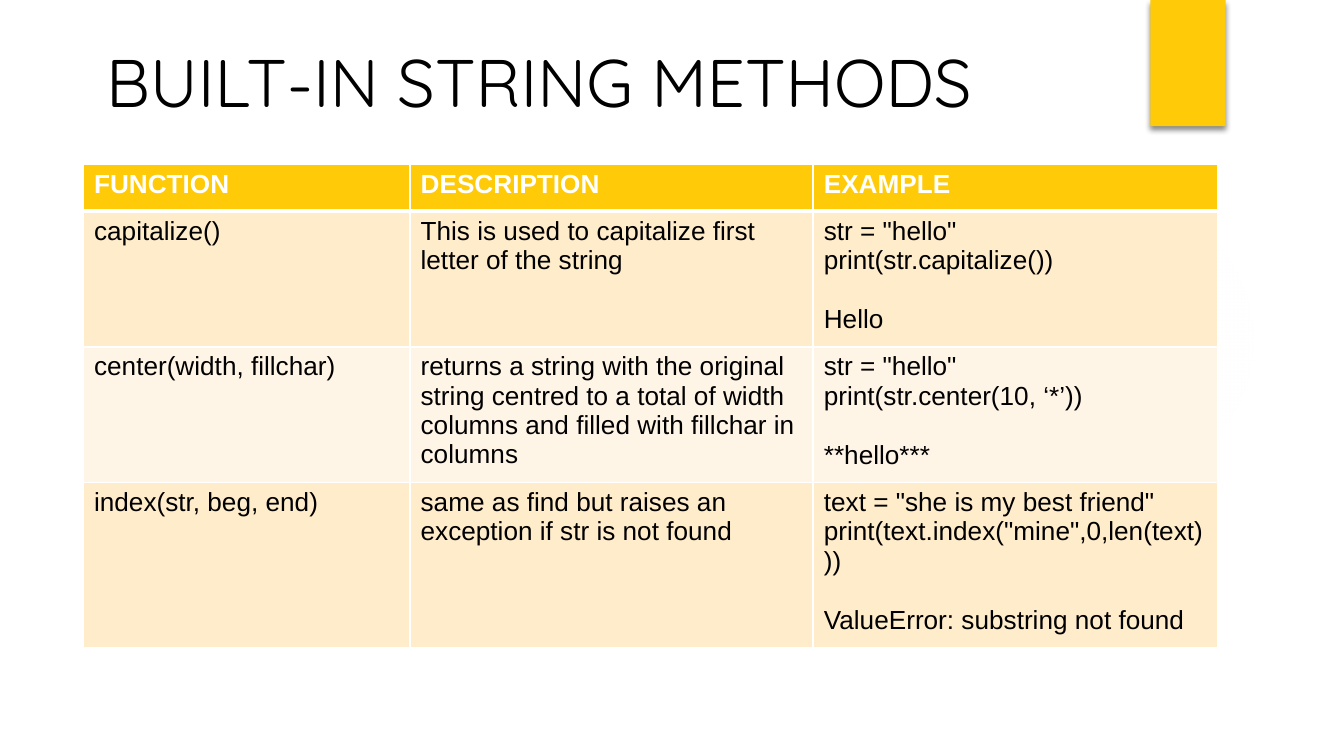
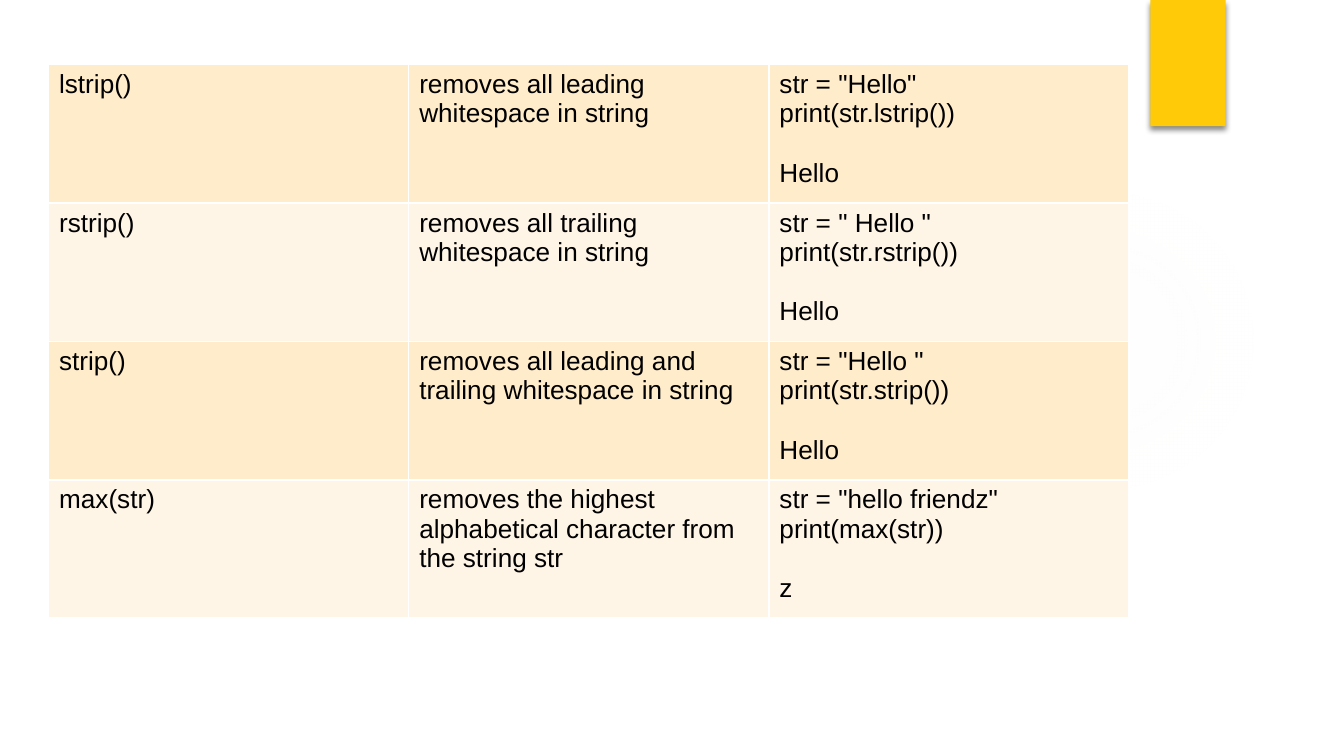
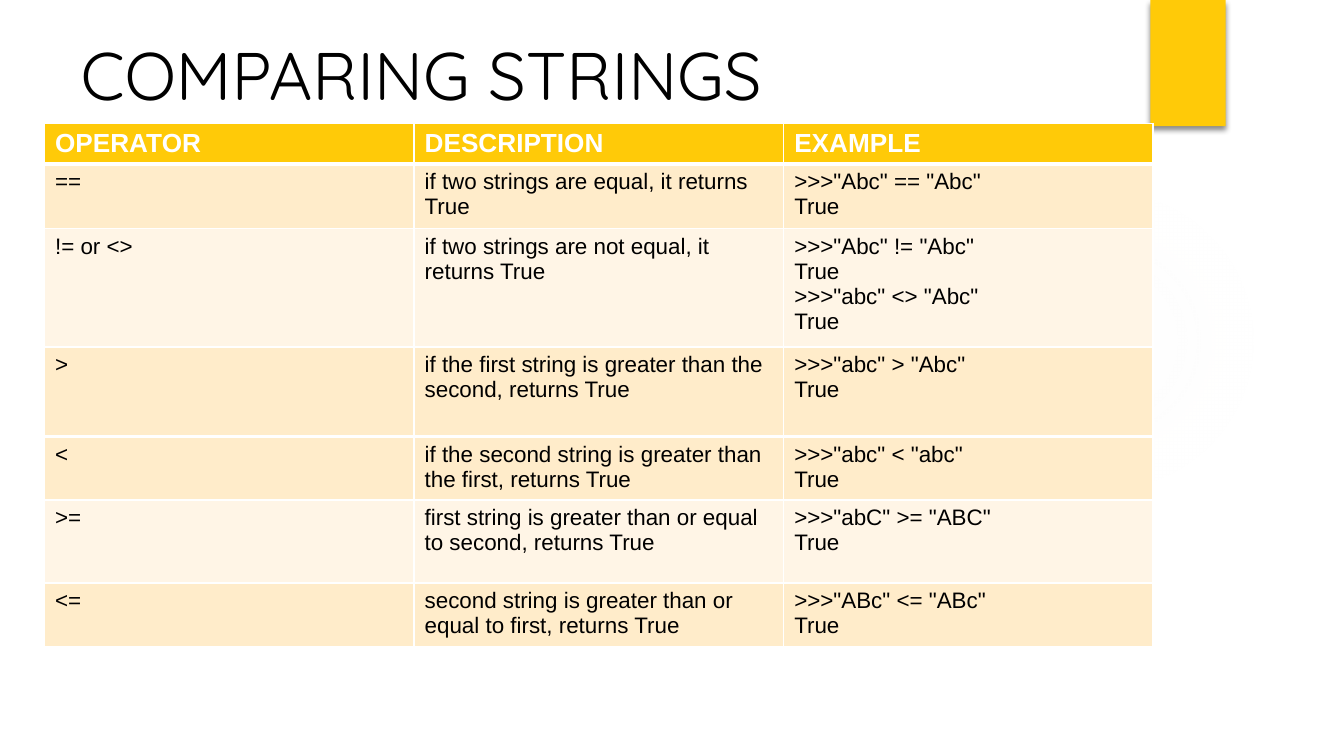
"""Builds three slides on Python string methods and string comparison."""
from pptx import Presentation
from pptx.dml.color import RGBColor
from pptx.enum.shapes import MSO_SHAPE as SHAPE
from pptx.enum.text import MSO_ANCHOR as ANCHOR, MSO_AUTO_SIZE as AUTOSIZE, PP_ALIGN as ALIGN
from pptx.oxml import parse_xml
from pptx.oxml.ns import nsdecls
from pptx.util import Inches, Pt

GOLD = RGBColor(0xFF, 0xCA, 0x08)
BAND_DARK = RGBColor(0xFF, 0xEC, 0xCA)
BAND_LIGHT = RGBColor(0xFF, 0xF5, 0xE6)
GLOW = RGBColor(0xF4, 0xF1, 0xF0)
WHITE = RGBColor(0xFF, 0xFF, 0xFF)
BLACK = RGBColor(0, 0, 0)
TITLE_FONT, BODY_FONT = "Quicksand", "Arial"
TITLE_ONLY, BLANK = 5, 6

METHODS = [
    ("FUNCTION", "DESCRIPTION", "EXAMPLE"),
    ("capitalize()", "This is used to capitalize first letter of the string",
     'str = "hello"\nprint(str.capitalize())\n\nHello'),
    ("center(width, fillchar)",
     "returns a string with the original string centred to a total of width "
     "columns and filled with fillchar in columns",
     'str = "hello"\nprint(str.center(10, ‘*’))\n\n**hello***'),
    ("index(str, beg, end)", "same as find but raises an exception if str is not found",
     'text = "she is my best friend"\nprint(text.index("mine",0,len(text)))'
     "\n\nValueError: substring not found"),
]
STRIP_METHODS = [
    ("lstrip()", "removes all leading whitespace in string",
     'str = "Hello"\nprint(str.lstrip())\n\nHello'),
    ("rstrip()", "removes all trailing whitespace in string",
     'str = " Hello "\nprint(str.rstrip())\n\nHello'),
    ("strip()", "removes all leading and trailing whitespace in string",
     'str = "Hello "\nprint(str.strip())\n\nHello'),
    ("max(str)", "removes the highest alphabetical character from the string str",
     'str = "hello friendz"\nprint(max(str))\n\nz'),
]
OPERATORS = [
    ("OPERATOR", "DESCRIPTION", "EXAMPLE"),
    ("==", "if two strings are equal, it returns True", '>>>"Abc" == "Abc"\nTrue'),
    ("!= or <>", "if two strings are not equal, it returns True",
     '>>>"Abc" != "Abc"\nTrue\n>>>"abc" <> "Abc"\nTrue'),
    (">", "if the first string is greater than the second, returns True",
     '>>>"abc" > "Abc"\nTrue'),
]
MORE_OPERATORS = [
    ("<", "if the second string is greater than the first, returns True",
     '>>>"abc" < "abc"\nTrue'),
    (">=", "first string is greater than or equal to second, returns True",
     '>>>"abC" >= "ABC"\nTrue'),
    ("<=", "second string is greater than or equal to first, returns True",
     '>>>"ABc" <= "ABc"\nTrue'),
]


class Deck:
    """Holds the style and the current slide."""

    def __init__(self):
        """Start an empty widescreen presentation."""
        self.prs = Presentation()
        self.prs.slide_width = Inches(10)
        self.prs.slide_height = Inches(10 * 9 / 16)
        self.slide = None

    def add_slide(self, layout):
        """Add a slide with the shared glow and gold tab."""
        self.slide = self.prs.slides.add_slide(self.prs.slide_layouts[layout])
        self.slide.background.fill.solid()
        self.slide.background.fill.fore_color.rgb = WHITE
        self.glow()
        self.tab()

    def shape(self, kind, x, y, w, h, color):
        """Add a plain filled shape without a line."""
        sp = self.slide.shapes.add_shape(kind, Inches(x), Inches(y), Inches(w), Inches(h))
        sp.shadow.inherit = False
        sp.fill.solid()
        sp.fill.fore_color.rgb = color
        sp.line.fill.background()
        return sp

    def glow(self):
        """Add the faint round glow."""
        sp = self.shape(SHAPE.OVAL, 7.06, 1.38, 2.31, 2.31, GLOW)
        stops = "".join(
            f'<a:gs pos="{pos}000"><a:srgbClr val="{GLOW}"><a:alpha val="{alpha}000"/>'
            "</a:srgbClr></a:gs>"
            for pos, alpha in ((0, 7), (36, 6), (69, 0), (100, 0)))
        gradient = parse_xml(
            f'<a:gradFill {nsdecls("a")}><a:gsLst>{stops}</a:gsLst><a:path path="circle">'
            '<a:fillToRect l="50000" t="50000" r="50000" b="50000"/></a:path></a:gradFill>')
        props = sp._element.spPr
        props.replace(props.find("{*}solidFill"), gradient)

    def tab(self):
        """Add the gold tab with its soft shadow."""
        sp = self.shape(SHAPE.RECTANGLE, 8.56, 0, 0.56, 0.94, GOLD)
        sp._element.spPr.find("{*}effectLst").append(parse_xml(
            f'<a:outerShdw {nsdecls("a")} blurRad="{Pt(3)}" dist="{Pt(2)}" dir="5400000" '
            'rotWithShape="0"><a:srgbClr val="000000"><a:alpha val="45000"/></a:srgbClr>'
            "</a:outerShdw>"))

    def title(self, text, x, y, w):
        """Place and format the title placeholder."""
        sp = self.slide.shapes.title
        sp.left, sp.top, sp.width, sp.height = Inches(x), Inches(y), Inches(w), Inches(0.68)
        tf = sp.text_frame
        tf.text = text
        tf.word_wrap = True
        tf.auto_size = AUTOSIZE.NONE
        tf.vertical_anchor = ANCHOR.TOP
        tf.margin_left = tf.margin_right = Inches(0.07)
        tf.margin_top = tf.margin_bottom = Inches(0.04)
        p = tf.paragraphs[0]
        p.alignment = ALIGN.LEFT
        self.font(p, TITLE_FONT, 36, BLACK)

    def font(self, p, name, size, color, bold=False):
        """Set the font of a paragraph."""
        p.font.name, p.font.size, p.font.bold = name, Pt(size), bold
        p.font.color.rgb = color

    def table(self, rows, x, y, widths, heights, size=14, header=False):
        """Add a banded table, with an optional gold header row."""
        frame = self.slide.shapes.add_table(
            len(rows), len(widths), Inches(x), Inches(y),
            Inches(sum(widths)), Inches(sum(heights)))
        table = frame.table
        table.first_row, table.horz_banding = header, False
        for column, width in zip(table.columns, widths):
            column.width = Inches(width)
        for i, (row, texts, height) in enumerate(zip(table.rows, rows, heights)):
            row.height = Inches(height)
            heading = header and i == 0
            band = (BAND_DARK, BAND_LIGHT)[(i - header) % 2]
            for cell, text in zip(row.cells, texts):
                cell.fill.solid()
                cell.fill.fore_color.rgb = GOLD if heading else band
                self.borders(cell, 3 if header and i == 1 else 1, 3 if heading else 1)
                if heading:
                    self.cell_text(cell, text, 14, WHITE, True)
                else:
                    self.cell_text(cell, text, size, BLACK)

    def borders(self, cell, top, bottom):
        """Draw white borders around a cell."""
        sides = (("L", 1), ("R", 1), ("T", top), ("B", bottom))
        for i, (side, width) in enumerate(sides):
            cell._tc.get_or_add_tcPr().insert(i, parse_xml(
                f'<a:ln{side} {nsdecls("a")} w="{Pt(width)}"><a:solidFill>'
                f'<a:srgbClr val="{WHITE}"/></a:solidFill></a:ln{side}>'))

    def cell_text(self, cell, text, size, color, bold=False):
        """Write lines in a cell, setting blocks apart by one line."""
        cell.margin_left = cell.margin_right = Inches(0.08)
        cell.margin_top = cell.margin_bottom = Inches(0.04)
        tf = cell.text_frame
        blocks = [block.split("\n") for block in text.split("\n\n")]
        tf.text = "\n".join(line for block in blocks for line in block)
        for p in tf.paragraphs:
            self.font(p, BODY_FONT, size, color, bold)
        if len(blocks) > 1:
            tf.paragraphs[len(blocks[0])].space_before = Pt(16)


def main():
    """Build and save the slides."""
    deck = Deck()

    deck.add_slide(TITLE_ONLY)
    deck.title("BUILT-IN STRING METHODS", 0.72, 0.26, 7.21)
    deck.table(METHODS, 0.62, 1.22, [2.43, 3, 3.01], [0.35, 1.01, 1.01, 1.23], header=True)

    deck.add_slide(BLANK)
    deck.table(STRIP_METHODS, 0.36, 0.48, [2.68] * 3, [1.03] * 4)

    deck.add_slide(TITLE_ONLY)
    deck.title("COMPARING STRINGS", 0.53, 0.21, 5.91)
    thirds = [2.75] * 3
    deck.table(OPERATORS, 0.33, 0.92, thirds, [0.3, 0.48, 0.88, 0.66], 12, header=True)
    deck.table(MORE_OPERATORS, 0.33, 3.25, thirds, [0.47, 0.62, 0.47], 12)

    deck.prs.save("out.pptx")


if __name__ == "__main__":
    main()
